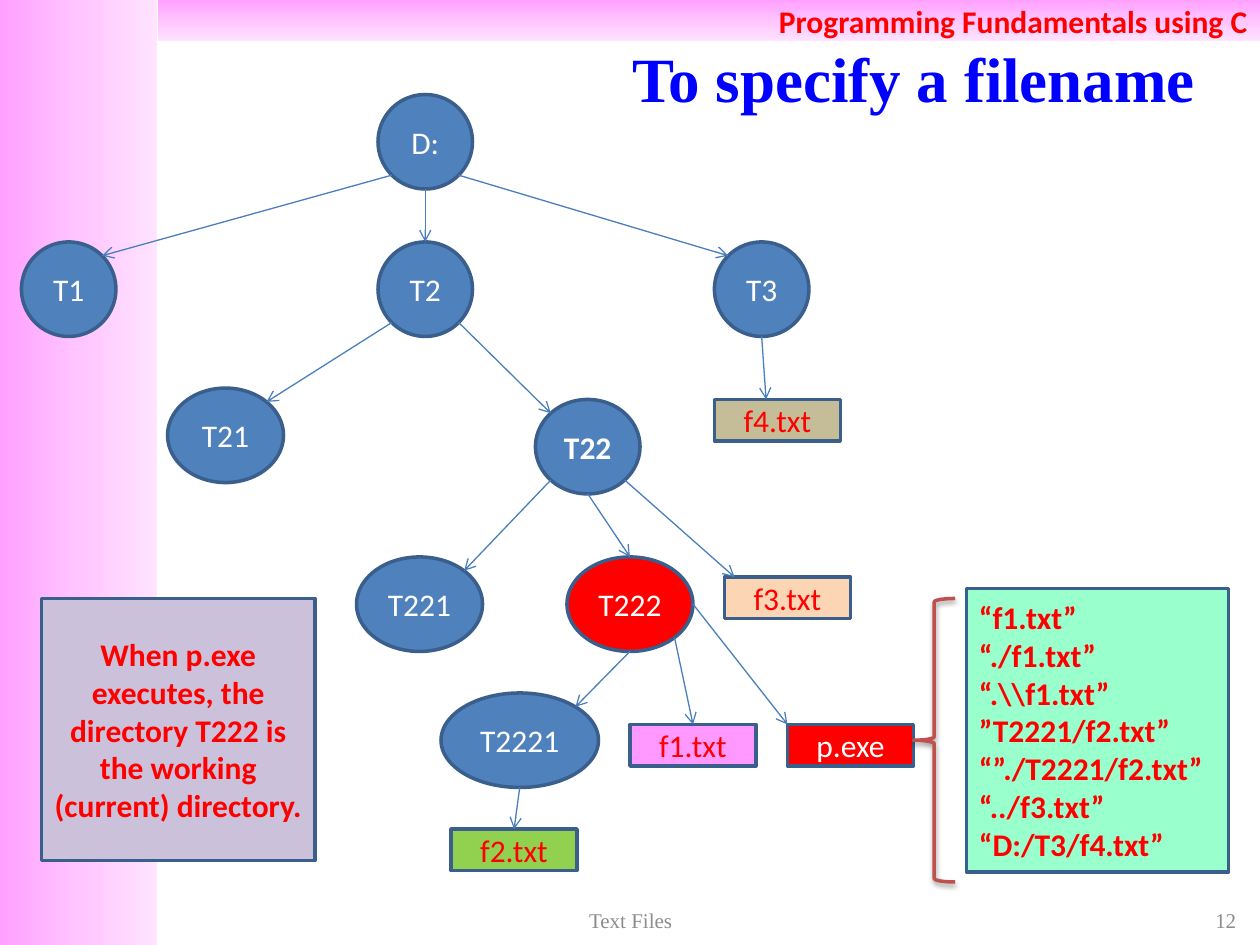
from math import cos, radians, sin

from lxml import etree
from pptx import Presentation
from pptx.dml.color import RGBColor
from pptx.enum import shapes, text
from pptx.oxml import ns
from pptx.util import Inches, Pt

COLORS = {
    "node": "4F81BD", "edge": "3A5F8C", "arrow": "4B7EBC", "brace": "C0504D",
    "red": "FF0000", "white": "FFFFFF", "blue": "0000FF", "gray": "8C8C8C",
    "tan": "C4BD97", "green": "92D050", "peach": "FCD5B5", "pink": "FF99FF",
    "mint": "99FFCC", "lilac": "CCC1DA", "black": "000000",
    "deep": "FFA0FF", "mid": "FFC5FF", "pale": "FFE3FF",
}
ALIGN = {
    "left": text.PP_ALIGN.LEFT,
    "center": text.PP_ALIGN.CENTER,
    "right": text.PP_ALIGN.RIGHT,
}
ANGLES = {
    "right": 0, "bottom_right": 45, "bottom": 90, "bottom_left": 135,
    "left": 180, "top_left": 225, "top": 270, "top_right": 315,
}


class SlideBuilder:
    """Holds the style and the current slide, and draws each kind of element."""

    def __init__(self, page):
        self.page = page
        self.font = {"name": "Calibri", "size": Pt(18), "bold": False}

    def color(self, name):
        return RGBColor.from_string(COLORS[name])

    def child(self, parent, tag, **values):
        return etree.SubElement(parent, ns.qn(tag), values)

    def set_text(self, shape, lines, color, align="center", **changes):
        frame = shape.text_frame
        frame.word_wrap = True
        frame.vertical_anchor = text.MSO_ANCHOR.MIDDLE
        for number, line in enumerate(lines):
            para = frame.add_paragraph() if number else frame.paragraphs[0]
            para.alignment = ALIGN[align]
            span = para.add_run()
            span.text = line
            for name, value in {**self.font, **changes}.items():
                setattr(span.font, name, value)
            span.font.color.rgb = self.color(color)

    def shape(self, kind, at, fill=None, line="edge"):
        shape = self.page.shapes.add_shape(kind, *map(Inches, at))
        shape.shadow.inherit = False
        if fill:
            shape.fill.solid()
            shape.fill.fore_color.rgb = self.color(fill)
        else:
            shape.fill.background()
        if line:
            shape.line.color.rgb = self.color(line)
            shape.line.width = Pt(2)
        else:
            shape.line.fill.background()
        return shape

    def band(self, at, angle):
        band = self.shape(shapes.MSO_SHAPE.RECTANGLE, at, line=None)
        band.fill.gradient()
        gradient = band._element.spPr.find(ns.qn("a:gradFill"))
        stops = gradient.find(ns.qn("a:gsLst"))
        for stop in list(stops):
            stops.remove(stop)
        for position, name in ((0, "deep"), (50, "mid"), (100, "pale")):
            stop = self.child(stops, "a:gs", pos=str(position * 1000))
            self.child(stop, "a:srgbClr", val=COLORS[name])
        gradient.find(ns.qn("a:lin")).set("ang", str(angle * 60000))
        return band

    def label(self, at, words, color, align, **changes):
        box = self.page.shapes.add_textbox(*map(Inches, at))
        self.set_text(box, [words], color, align, **changes)

    def folder(self, name, at, fill="node", bold=False):
        oval = self.shape(shapes.MSO_SHAPE.OVAL, at, fill)
        self.set_text(oval, [name], "white", bold=bold)
        return oval

    def panel(self, at, lines, fill, color="red", align="center", bold=True):
        panel = self.shape(shapes.MSO_SHAPE.RECTANGLE, at, fill)
        self.set_text(panel, lines, color, align, bold=bold)
        return panel

    def brace(self, at):
        brace = self.shape(shapes.MSO_SHAPE.LEFT_BRACE, at, line="brace")
        effects = brace._element.spPr.find(ns.qn("a:effectLst"))
        shadow = self.child(effects, "a:outerShdw", blurRad=str(Pt(3.1)), dist=str(Pt(1.6)),
                            dir="5400000", rotWithShape="0")
        tint = self.child(shadow, "a:srgbClr", val=COLORS["black"])
        self.child(tint, "a:alpha", val="38000")

    def rim(self, oval, side):
        angle = radians(ANGLES[side])
        return (oval.left + int(oval.width * (1 + cos(angle)) / 2),
                oval.top + int(oval.height * (1 + sin(angle)) / 2))

    def arrow(self, start, end):
        arrow = self.page.shapes.add_connector(shapes.MSO_CONNECTOR.STRAIGHT, *start, *end)
        arrow.line.color.rgb = self.color("arrow")
        arrow.line.width = Pt(0.75)
        outline = arrow._element.spPr.find(ns.qn("a:ln"))
        self.child(outline, "a:tailEnd", type="arrow")
        self.child(arrow._element.spPr, "a:effectLst")
        return arrow

    def folder_arrow(self, parent, start, child, end):
        self.arrow(self.rim(parent, start), self.rim(child, end))

    def file_arrow(self, parent, start, file, share):
        end = file.left + int(file.width * share), file.top
        arrow = self.arrow(self.rim(parent, start), end)
        if share == 0.5:
            arrow.end_connect(file, 0)


def main():
    deck = Presentation()
    deck.slide_width, deck.slide_height = Inches(10), Inches(7.5)
    build = SlideBuilder(deck.slides.add_slide(deck.slide_layouts[6]))

    build.band((0, 0, 1.25, 7.5), 0)
    header = build.band((1.25, 0, 8.75, 0.33), 90)
    build.set_text(header, ["Programming Fundamentals using C"], "red", "right", bold=True)
    serif = {"name": "Times New Roman"}
    build.label((4.92, 0.3, 5.08, 0.62), "To specify a filename", "blue", "left",
                size=Pt(36), bold=True, **serif)
    build.label((7.58, 7.17, 2.33, 0.27), "12", "gray", "right", size=Pt(12), **serif)
    build.label((3.42, 7.17, 3.17, 0.27), "Text Files", "gray", "center", size=Pt(12), **serif)

    places = {
        "D:": (3, 0.75, 0.75), "T1": (0.17, 1.92, 0.75), "T2": (3, 1.92, 0.75),
        "T3": (5.67, 1.92, 0.75), "T21": (1.33, 3.08, 0.92), "T22": (4.25, 3.17, 0.83),
        "T221": (2.83, 4.42, 1), "T222": (4.5, 4.42, 1), "T2221": (3.5, 5.5, 1.25),
    }
    folders = {
        name: build.folder(name, (*place, 0.75), "red" if name == "T222" else "node",
                           name == "T22")
        for name, place in places.items()
    }
    files = {
        name: build.panel((left, top, 1, 0.33), [name], fill, color, bold=False)
        for name, left, top, fill, color in (
            ("f4.txt", 5.67, 3.17, "tan", "red"),
            ("f2.txt", 3.58, 6.58, "green", "red"),
            ("f3.txt", 5.75, 4.58, "peach", "red"),
            ("f1.txt", 5, 5.75, "pink", "red"),
            ("p.exe", 6.25, 5.75, "red", "white"),
        )
    }
    for parent, start, child, end in (
        ("D:", "bottom_left", "T1", "top_right"),
        ("D:", "bottom", "T2", "top"),
        ("D:", "bottom_right", "T3", "top_left"),
        ("T2", "bottom_left", "T21", "top_right"),
        ("T2", "bottom_right", "T22", "top_left"),
        ("T22", "bottom_left", "T221", "top_right"),
        ("T22", "bottom", "T222", "top"),
        ("T222", "bottom", "T2221", "top_right"),
    ):
        build.folder_arrow(folders[parent], start, folders[child], end)
    for parent, start, file, share in (
        ("T2221", "bottom", "f2.txt", 0.5),
        ("T22", "bottom_right", "f3.txt", 0.08),
        ("T222", "bottom_right", "f1.txt", 0.5),
        ("T222", "right", "p.exe", 0),
        ("T3", "bottom", "f4.txt", 0.41),
    ):
        build.file_arrow(folders[parent], start, files[file], share)

    names = ["“f1.txt”", "“./f1.txt”", "“.\\\\f1.txt”", "”T2221/f2.txt”",
             "“”./T2221/f2.txt”", "“../f3.txt”", "“D:/T3/f4.txt”"]
    build.panel((7.67, 4.67, 2.08, 2.25), names, "mint", align="left")
    note = "When p.exe executes, the directory T222 is the working (current) directory."
    build.panel((0.33, 4.75, 2.17, 2.08), [note], "lilac")
    build.brace((7.25, 4.75, 0.33, 2.25))
    deck.save("out.pptx")


if __name__ == "__main__":
    main()
